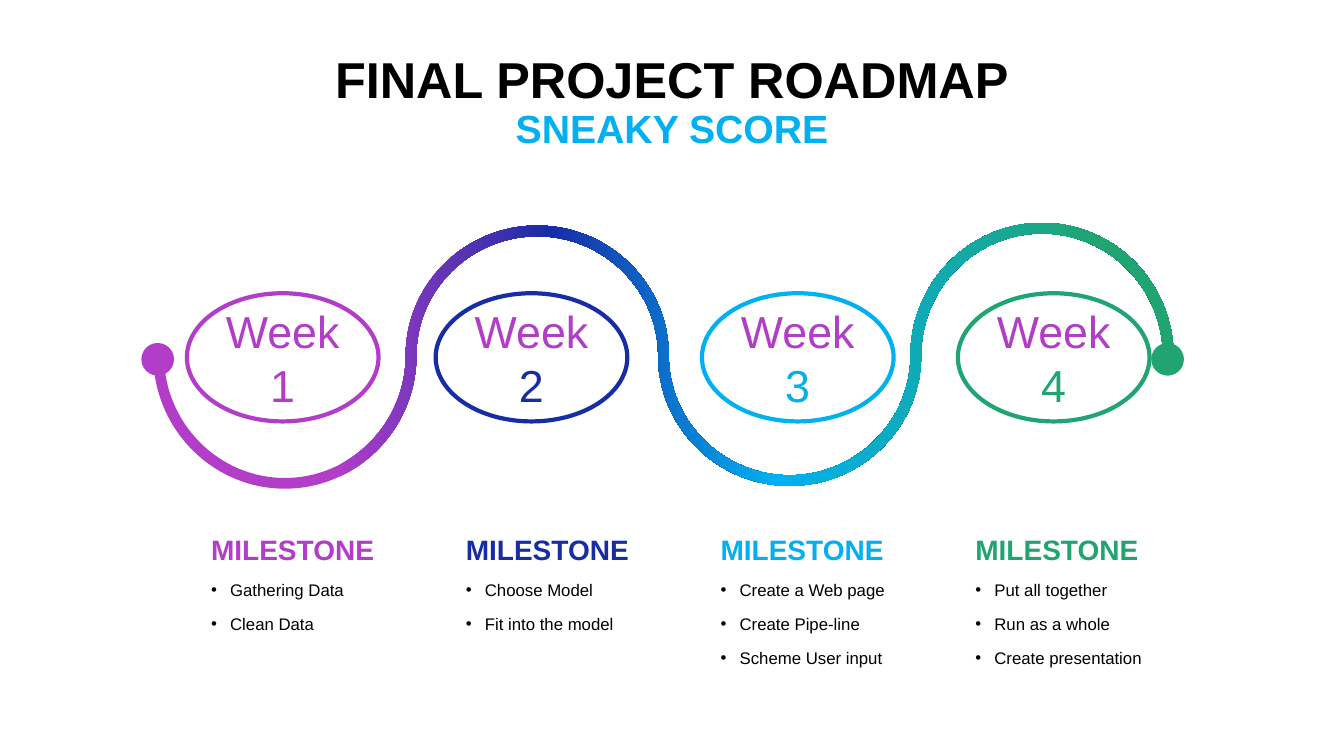
"""Builds the four-week final project roadmap slide."""
import lxml.etree
import pptx
import pptx.dml.color
import pptx.enum.shapes
import pptx.enum.text
import pptx.oxml.ns
import pptx.util

Cm, Pt, qn = pptx.util.Cm, pptx.util.Pt, pptx.oxml.ns.qn
ALIGN, ANCHOR = pptx.enum.text.PP_ALIGN, pptx.enum.text.MSO_ANCHOR
OVAL = pptx.enum.shapes.MSO_SHAPE.OVAL

TITLE, PROJECT = "FINAL PROJECT ROADMAP", "SNEAKY SCORE"
HEADING = "MILESTONE"
WEEKS = [
    {"number": "1", "left": 4.71, "color": "B13DC8", "stop": 18, "depth": 3.22,
     "tasks": ["Gathering Data", "Clean Data"], "tasks_size": (5.03, 1.96)},
    {"number": "2", "left": 10.98, "color": "172DA6", "stop": 39, "depth": 3.14,
     "tasks": ["Choose Model", "Fit into the model"], "tasks_size": (5.03, 1.96)},
    {"number": "3", "left": 17.69, "color": "00B0F0", "stop": 61, "depth": 3.15,
     "tasks": ["Create a Web page", "Create Pipe-line", "Scheme User input"],
     "tasks_size": (5.03, 2.41)},
    {"number": "4", "left": 24.14, "color": "20A472", "stop": 92, "depth": 3.21,
     "tasks": ["Put all together", "Run as a whole", "Create presentation"],
     "tasks_size": (6.05, 2.67)},
]
THEME = {"font": "Arial", "ink": "000000", "paper": "FFFFFF", "week": "B13DC8",
         "project": "00B0F0", "title_size": 36, "project_size": 28,
         "week_size": 32, "heading_size": 20, "task_size": 12}

BEND_X, BEND_Y, BEND_PITCH, RIBBON_WIDTH = 7.18, 8.96, 6.36, 0.27
CURVE = 0.55
QUARTERS = [(-1, CURVE), (-CURVE, 1), (0, 1), (CURVE, 1), (1, CURVE), (1, 0)]
COLUMN_X, COLUMN_PITCH = 5.07, 6.42
INDENT = 0.48


def rgb(color):
    return pptx.dml.color.RGBColor.from_string(color)


def style(run, size, color, bold=False):
    run.font.name = THEME["font"]
    run.font.size = Pt(size)
    run.font.bold = bold
    run.font.color.rgb = rgb(color)


def add_oval(slide, left, top, width, height, fill, line, weight):
    oval = slide.shapes.add_shape(OVAL, Cm(left), Cm(top), Cm(width), Cm(height))
    oval.shadow.inherit = False
    oval.fill.solid()
    oval.fill.fore_color.rgb = rgb(fill)
    oval.line.color.rgb = rgb(line)
    oval.line.width = Pt(weight)
    return oval


def add_text(slide, left, top, width, height, lines):
    frame = slide.shapes.add_textbox(Cm(left), Cm(top), Cm(width), Cm(height)).text_frame
    frame.word_wrap = True
    frame.text = "\n".join(lines)
    for paragraph in frame.paragraphs:
        paragraph.space_before = Pt(10)
    return frame


def add_title(slide):
    frame = add_text(slide, 0.64, 1.29, 32.59, 2.64, [f"{TITLE}\v{PROJECT}"])
    frame.vertical_anchor = ANCHOR.MIDDLE
    paragraph = frame.paragraphs[0]
    paragraph.alignment = ALIGN.CENTER
    paragraph.line_spacing = 0.9
    title, project = paragraph.runs
    style(title, THEME["title_size"], THEME["ink"], True)
    style(project, THEME["project_size"], THEME["project"], True)


def add_week(slide, week):
    oval = add_oval(slide, week["left"], 7.39, 4.83, 3.23,
                    THEME["paper"], week["color"], 3)
    oval.text_frame.word_wrap = True
    oval.text_frame.vertical_anchor = ANCHOR.MIDDLE
    paragraph = oval.text_frame.paragraphs[0]
    paragraph.text = "Week "
    paragraph.alignment = ALIGN.CENTER
    paragraph.add_run().text = week["number"]
    for run, color in zip(paragraph.runs, (THEME["week"], week["color"])):
        style(run, THEME["week_size"], color)


def ribbon_edge(offset):
    points = [(Cm(BEND_X - BEND_PITCH / 2 - offset), Cm(BEND_Y))]
    for index, week in enumerate(WEEKS):
        side = 1 if index % 2 == 0 else -1
        center = BEND_X + index * BEND_PITCH
        radius = BEND_PITCH / 2 + side * offset
        depth = side * week["depth"] + offset
        points += [(Cm(center + x * radius), Cm(BEND_Y + y * depth)) for x, y in QUARTERS]
    return points


def round_off(segments):
    for first in range(0, len(segments), 3):
        start, middle, end = segments[first:first + 3]
        start.tag = qn("a:cubicBezTo")
        for segment in (middle, end):
            start.append(segment[0])
            segment.getparent().remove(segment)


def add_ribbon(slide):
    lower = ribbon_edge(RIBBON_WIDTH / 2)
    upper = ribbon_edge(-RIBBON_WIDTH / 2)[::-1]
    builder = slide.shapes.build_freeform(*lower[0])
    builder.add_line_segments(lower[1:] + upper, close=True)
    ribbon = builder.convert_to_shape()
    segments = list(ribbon.element.spPr.iter(qn("a:lnTo")))
    round_off(segments[:len(lower) - 1])
    round_off(segments[len(lower):])
    ribbon.shadow.inherit = False
    ribbon.line.fill.background()
    ribbon.fill.gradient()
    ribbon.fill.gradient_angle = 0
    stops = ribbon.element.spPr.find(qn("a:gradFill")).find(qn("a:gsLst"))
    for stop in list(stops):
        stops.remove(stop)
    for week in WEEKS:
        stop = lxml.etree.SubElement(stops, qn("a:gs"), pos=str(week["stop"] * 1000))
        lxml.etree.SubElement(stop, qn("a:srgbClr"), val=week["color"])


def add_milestone(slide, left, week):
    heading = add_text(slide, left, 13.39, 4.98, 0.84, [HEADING]).paragraphs[0]
    heading.line_spacing = 0.9
    style(heading.runs[0], THEME["heading_size"], week["color"], True)
    tasks = add_text(slide, left, 14.48, *week["tasks_size"], week["tasks"])
    for task in tasks.paragraphs:
        style(task.runs[0], THEME["task_size"], THEME["ink"])
        properties = task._p.get_or_add_pPr()
        properties.set("marL", str(Cm(INDENT)))
        properties.set("indent", str(-Cm(INDENT)))
        lxml.etree.SubElement(properties, qn("a:buFont"), typeface=THEME["font"])
        lxml.etree.SubElement(properties, qn("a:buChar"), char="•")


def main():
    presentation = pptx.Presentation()
    presentation.slide_width, presentation.slide_height = Cm(33.87), Cm(19.05)
    slide = presentation.slides.add_slide(presentation.slide_layouts[6])
    for week in WEEKS:
        add_week(slide, week)
    add_ribbon(slide)
    for left, week in ((3.67, WEEKS[0]), (29.12, WEEKS[-1])):
        add_oval(slide, left, 8.75, 0.61, 0.61, week["color"], week["color"], 6)
    for index, week in enumerate(WEEKS):
        add_milestone(slide, COLUMN_X + index * COLUMN_PITCH, week)
    add_title(slide)
    presentation.save("out.pptx")


if __name__ == "__main__":
    main()
